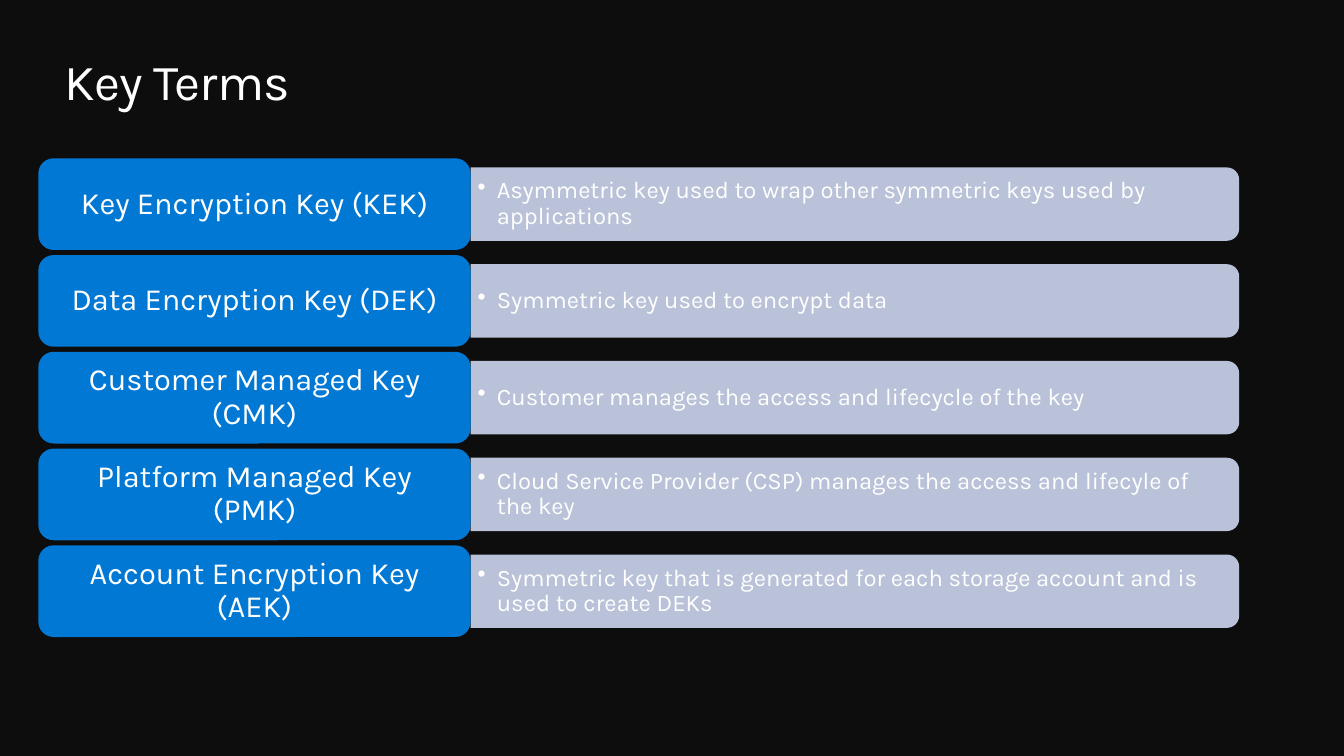
from dataclasses import dataclass

from lxml.etree import SubElement
from pptx import Presentation
from pptx.dml.color import RGBColor
from pptx.enum.shapes import MSO_SHAPE as Preset
from pptx.enum.text import MSO_ANCHOR as Anchor, PP_ALIGN as Align
from pptx.oxml.ns import qn
from pptx.util import Inches, Pt


@dataclass(frozen=True)
class Theme:
    """Colours, font and type sizes of the slide."""
    background: str = "0D0D0D"
    text: str = "FFFFFF"
    term: str = "0078D4"
    definition: str = "CCD6EF"
    definition_opacity: int = 90
    font: str = "Karla"
    title_size: int = 36
    term_size: int = 22
    definition_size: int = 17


THEME = Theme()
KEY_TERMS = [
    ("Key Encryption Key (KEK)",
     "Asymmetric key used to wrap other symmetric keys used by applications"),
    ("Data Encryption Key (DEK)", "Symmetric key used to encrypt data"),
    ("Customer Managed Key (CMK)",
     "Customer manages the access and lifecycle of the key"),
    ("Platform Managed Key (PMK)",
     "Cloud Service Provider (CSP) manages the access and lifecyle of the key"),
    ("Account Encryption Key (AEK)",
     "Symmetric key that is generated for each storage account and is used to create DEKs"),
]


def write(shape, text, size, inset_x=0, inset_y=0, anchor=Anchor.MIDDLE):
    """Write one run into a shape and return its paragraph and run."""
    frame = shape.text_frame
    frame.word_wrap = True
    frame.vertical_anchor = anchor
    frame.margin_left = frame.margin_right = Inches(inset_x)
    frame.margin_top = frame.margin_bottom = Inches(inset_y)
    paragraph = frame.paragraphs[0]
    run = paragraph.add_run()
    run.text = text
    run.font.name = THEME.font
    run.font.size = Pt(size)
    run.font.color.rgb = RGBColor.from_string(THEME.text)
    return paragraph, run


def add_box(slide, preset, color, left, top, width, height):
    """Add a filled preset shape without line or shadow."""
    shape = slide.shapes.add_shape(
        preset, Inches(left), Inches(top), Inches(width), Inches(height))
    shape.shadow.inherit = False
    shape.fill.solid()
    shape.fill.fore_color.rgb = RGBColor.from_string(color)
    shape.line.fill.background()
    return shape


def add_title(slide, text, left, top, width, height):
    """Add the slide title with slightly tightened letters."""
    box = slide.shapes.add_textbox(
        Inches(left), Inches(top), Inches(width), Inches(height))
    _, run = write(box, text, THEME.title_size, anchor=Anchor.TOP)
    run.font._element.set("spc", "-50")


def add_definition(slide, text, left, top, width, height):
    """Add a bar rounded on its right side with a bulleted definition."""
    bar = add_box(slide, Preset.ROUND_2_SAME_RECTANGLE, THEME.definition,
                  left + (width - height) / 2, top + (height - width) / 2,
                  height, width)
    bar.rotation = 90
    color = bar.fill._xPr.find(".//" + qn("a:srgbClr"))
    SubElement(color, qn("a:alpha"), val=str(THEME.definition_opacity * 1000))

    corner = 0.035
    box = slide.shapes.add_textbox(
        Inches(left), Inches(top + corner),
        Inches(width - corner), Inches(height - 2 * corner))
    paragraph, _ = write(box, text, THEME.definition_size, 0.07, 0.04)
    paragraph.level = 1
    paragraph.line_spacing = 0.9
    properties = paragraph._p.get_or_add_pPr()
    properties.set("marL", str(Inches(0.19)))
    properties.set("indent", str(Inches(-0.19)))
    SubElement(properties, qn("a:buChar"), char="•")


def add_term(slide, text, left, top, width, height):
    """Add a rounded block with a centred term."""
    block = add_box(slide, Preset.ROUNDED_RECTANGLE, THEME.term,
                    left, top, width, height)
    paragraph, _ = write(block, text, THEME.term_size, 0.09, 0.05)
    paragraph.alignment = Align.CENTER
    paragraph.line_spacing = 0.9


def add_key_terms(slide, rows, left, top, width, height, gap=0.05):
    """Stack one row per term, with its definition bar to the right."""
    row_height = (height - gap * (len(rows) - 1)) / len(rows)
    term_width = width * 0.36
    bar_height = row_height * 0.8
    for index, (term, definition) in enumerate(rows):
        row_top = top + index * (row_height + gap)
        add_definition(slide, definition, left + term_width,
                       row_top + (row_height - bar_height) / 2,
                       width - term_width, bar_height)
        add_term(slide, term, left, row_top, term_width, row_height)


def main():
    """Build and save the presentation."""
    presentation = Presentation()
    presentation.slide_width = Inches(13.33)
    presentation.slide_height = Inches(7.5)
    slide = presentation.slides.add_slide(presentation.slide_layouts[6])
    slide.background.fill.solid()
    slide.background.fill.fore_color.rgb = RGBColor.from_string(THEME.background)
    add_title(slide, "Key Terms", 0.64, 0.5, 12.05, 1.21)
    add_key_terms(slide, KEY_TERMS, 0.38, 1.57, 11.91, 4.75)
    presentation.save("out.pptx")


if __name__ == "__main__":
    main()
